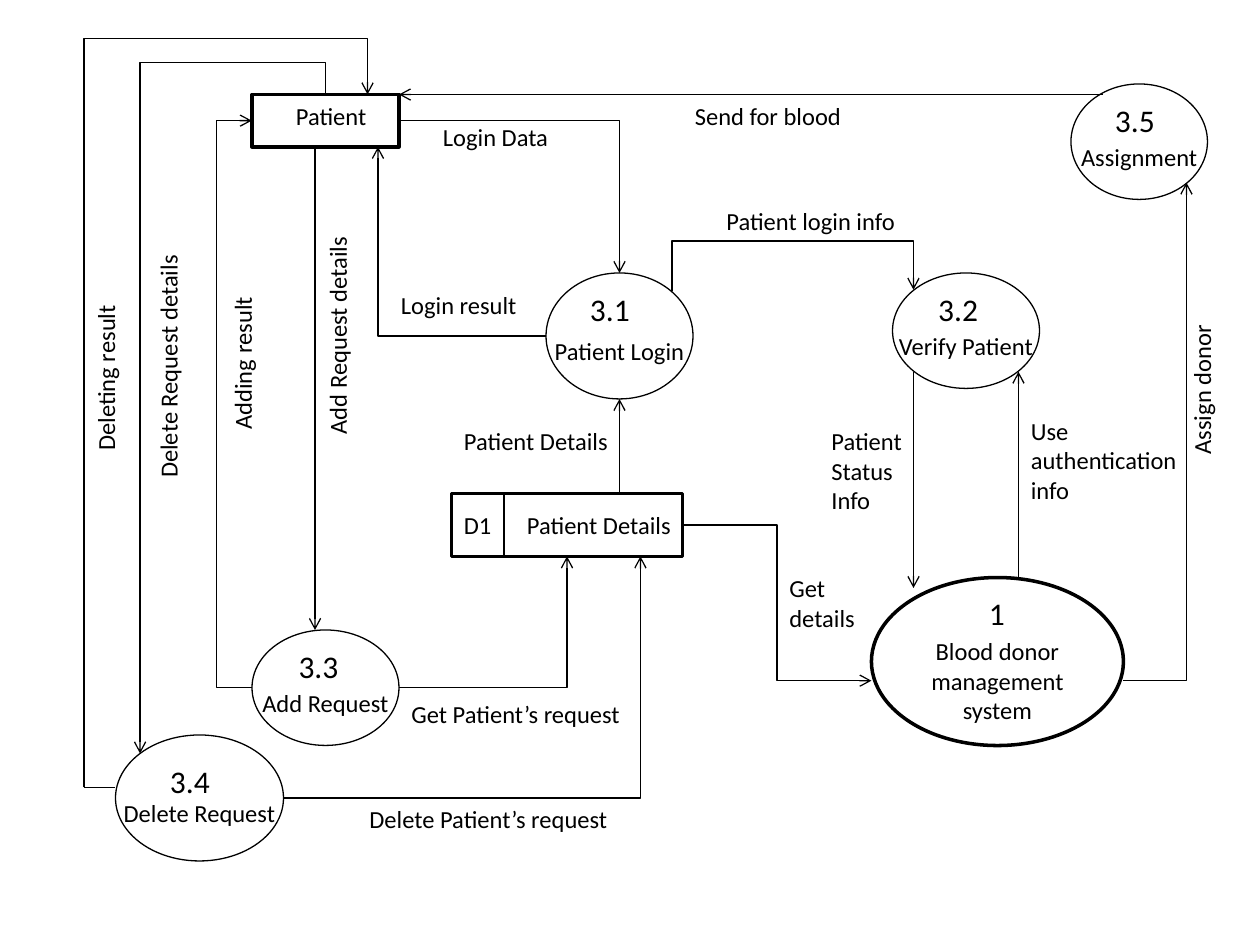
"""Builds a data flow diagram of a blood donor system, patient side."""
from lxml import etree
from pptx import Presentation
from pptx.dml.color import RGBColor
from pptx.enum.shapes import MSO_CONNECTOR, MSO_SHAPE
from pptx.enum.text import MSO_ANCHOR, MSO_AUTO_SIZE, PP_ALIGN
from pptx.oxml.ns import qn
from pptx.util import Pt

BLACK = RGBColor(0, 0, 0)
STRAIGHT, ELBOW = MSO_CONNECTOR.STRAIGHT, MSO_CONNECTOR.ELBOW
RECTANGLE, OVAL = MSO_SHAPE.RECTANGLE, MSO_SHAPE.OVAL
LEFT, CENTER = PP_ALIGN.LEFT, PP_ALIGN.CENTER
MIDDLE = MSO_ANCHOR.MIDDLE
GROW = MSO_AUTO_SIZE.SHAPE_TO_FIT_TEXT


class Diagram:
    font_name = "Calibri"
    body_size = 14
    number_size = 18
    thin, thick = 0.75, 2
    line_height = 17
    inset = 3.6

    def __init__(self, slide):
        self.slide = slide

    def set_text(self, shape, text, size, alignment):
        frame = shape.text_frame
        frame.text = text
        for paragraph in frame.paragraphs:
            paragraph.alignment = alignment
            paragraph.font.name = self.font_name
            paragraph.font.size = Pt(size)
            paragraph.font.color.rgb = BLACK

    def outline(self, kind, left, top, width, height, weight):
        shape = self.slide.shapes.add_shape(kind, Pt(left), Pt(top), Pt(width), Pt(height))
        shape.shadow.inherit = False
        shape.fill.background()
        shape.line.color.rgb = BLACK
        shape.line.width = Pt(weight)
        return shape

    def label(self, text, left, top, width, size=body_size, rotation=0, alignment=LEFT):
        lines = text.count("\n") + 1
        height = 2 * self.inset + lines * size * 1.21
        box = self.slide.shapes.add_textbox(Pt(left), Pt(top), Pt(width), Pt(height))
        box.rotation = rotation
        box.text_frame.word_wrap = alignment == CENTER
        box.text_frame.auto_size = GROW
        self.set_text(box, text, size, alignment)

    def process(self, number, name, bounds, number_left, number_top):
        shape = self.outline(OVAL, *bounds, self.thin)
        frame = shape.text_frame
        frame.word_wrap = False
        frame.vertical_anchor = MIDDLE
        frame.margin_top = Pt(self.inset + self.line_height)
        self.set_text(shape, name, self.body_size, CENTER)
        self.label(number, number_left, number_top, 37, self.number_size)

    def line(self, start, end, arrow=True, kind=STRAIGHT):
        points = [Pt(value) for value in (*start, *end)]
        connector = self.slide.shapes.add_connector(kind, *points)
        connector.line.color.rgb = BLACK
        connector.line.width = Pt(self.thin)
        properties = connector._element.spPr
        if arrow:
            etree.SubElement(properties.find(qn("a:ln")), qn("a:tailEnd"), type="arrow")
        etree.SubElement(properties, qn("a:effectLst"))
        return connector

    def corner(self, start, end):
        connector = self.line(start, end, kind=ELBOW)
        connector._element.spPr.prstGeom.set("prst", "bentConnector2")

    def bend(self, start, end, middle, vertical=False):
        connector = self.line(start, end, kind=ELBOW)
        axis = 1 if vertical else 0
        ratio = (middle - start[axis]) / (end[axis] - start[axis])
        guides = connector._element.spPr.prstGeom.get_or_add_avLst()
        etree.SubElement(guides, qn("a:gd"), name="adj1", fmla=f"val {round(ratio * 100000)}")
        if vertical:
            self.turn(connector, start, end)

    def turn(self, connector, start, end):
        (start_x, start_y), (end_x, end_y) = start, end
        width, height = abs(end_y - start_y), abs(end_x - start_x)
        connector.left = Pt((start_x + end_x - width) / 2)
        connector.top = Pt((start_y + end_y - height) / 2)
        connector.width, connector.height = Pt(width), Pt(height)
        transform = connector._element.spPr.xfrm
        transform.rot = 90
        transform.flipH = end_y < start_y
        transform.flipV = end_x > start_x


PROCESSES = [
    ("3.1", "Patient Login", (312, 156, 84, 72), 330, 162),
    ("3.2", "Verify Patient", (510, 156, 84, 66), 529, 162),
    ("3.3", "Add Request", (144, 360, 84, 66), 163.5, 366),
    ("3.4", "Delete Request", (66, 420, 96, 72), 90, 432),
    ("3.5", "Assignment", (612, 48, 78, 66), 630, 54),
]
LABELS = [
    ("Patient", 162, 54, 55),
    ("D1", 258, 288, 30),
    ("Patient Details", 294, 288, 98),
    ("Login Data", 246, 66, 76),
    ("Patient login info", 408, 114, 112),
    ("Use\nauthentication\ninfo", 582, 234, 102),
    ("Patient\nStatus\nInfo", 468, 240, 55),
    ("Get Patient’s request", 228, 396, 138),
    ("Login result", 222, 162, 81),
    ("Patient Details", 258, 240, 98),
    ("Delete Patient’s request", 204, 456, 152),
    ("Send for blood", 390, 54, 102),
    ("Get\ndetails", 444, 324, 53),
]
UPRIGHT_LABELS = [
    ("Add Request details", 128.2, 178.6, 129),
    ("Adding result", 93, 195, 91),
    ("Delete Request details", 24.5, 196.6, 143),
    ("Deleting result", 9.4, 201.6, 102),
    ("Assign donor", 642.2, 210.2, 89),
]
ARROWS = [
    ((582, 330), (582, 212.4)),
    ((522, 212.4), (522, 336)),
    ((180, 84), (180, 360)),
    ((354, 282), (354, 228)),
    ((630, 54), (228, 54)),
]
PLAIN_LINES = [
    ((288, 282), (288, 318)),
    ((192, 456), (162, 456)),
    ((48, 450), (66, 450)),
]
CORNERS = [
    ((228, 69), (354, 156)),
    ((228, 393), (324, 318)),
    ((312, 192), (216, 84)),
    ((192, 456), (366, 318)),
    ((642, 389), (678, 104.4)),
]
SIDE_BENDS = [
    ((144, 393), (143.9, 69), 126),
    ((390, 300), (498, 389), 444),
]
UPRIGHT_BENDS = [
    ((384, 166.3), (522, 165.6), 138),
    ((186, 54), (80, 430.6), 36),
    ((48, 450), (210, 54), 22),
]


def main():
    presentation = Presentation()
    presentation.slide_width, presentation.slide_height = Pt(720), Pt(540)
    diagram = Diagram(presentation.slides.add_slide(presentation.slide_layouts[6]))

    diagram.outline(OVAL, 498, 330, 144, 96, diagram.thick)
    diagram.label("Blood donor\nmanagement\nsystem", 498, 360, 144, alignment=CENTER)
    diagram.label("1", 558, 336, 24, diagram.number_size)
    diagram.outline(RECTANGLE, 144, 54, 84, 30, diagram.thick)
    diagram.outline(RECTANGLE, 258, 282, 132, 36, diagram.thick)

    for process in PROCESSES:
        diagram.process(*process)
    for label in LABELS:
        diagram.label(*label)
    for label in UPRIGHT_LABELS:
        diagram.label(*label, rotation=270)
    for ends in ARROWS:
        diagram.line(*ends)
    for ends in PLAIN_LINES:
        diagram.line(*ends, arrow=False)
    for ends in CORNERS:
        diagram.corner(*ends)
    for bend in SIDE_BENDS:
        diagram.bend(*bend)
    for bend in UPRIGHT_BENDS:
        diagram.bend(*bend, vertical=True)
    presentation.save("out.pptx")


if __name__ == "__main__":
    main()
